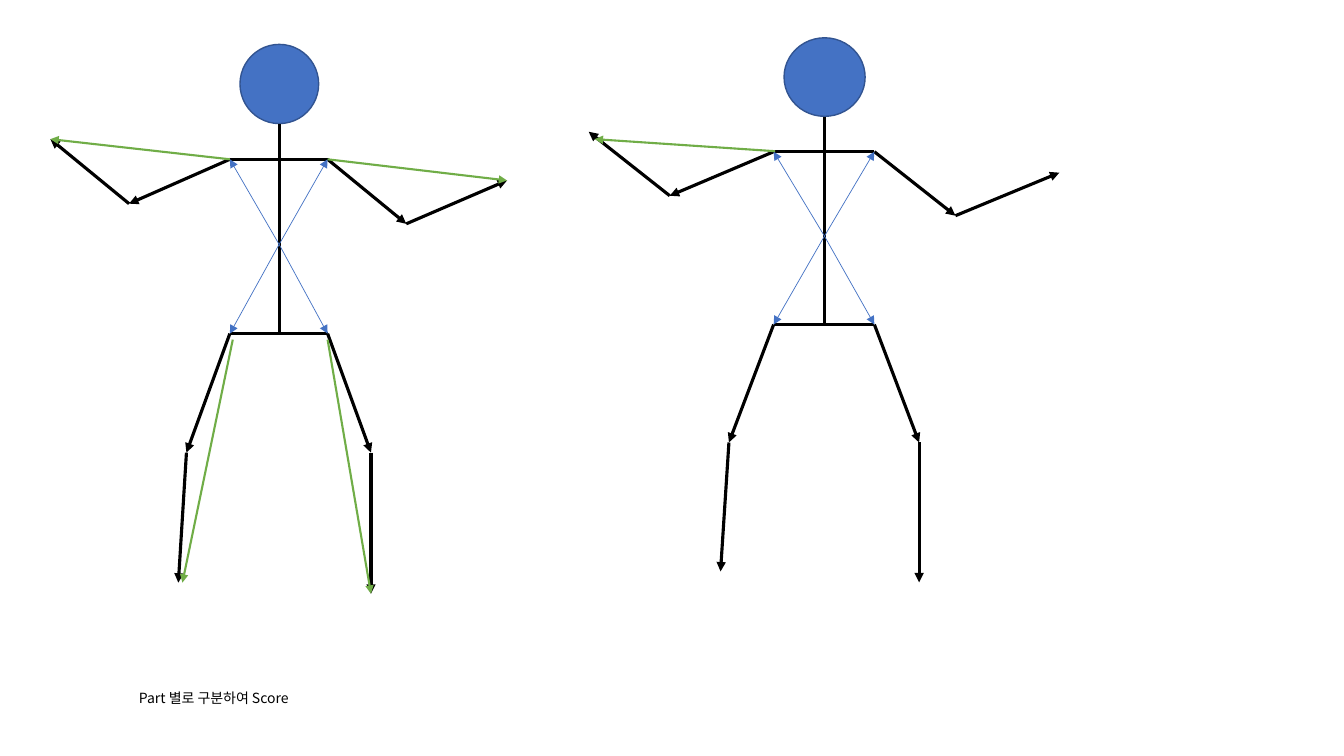
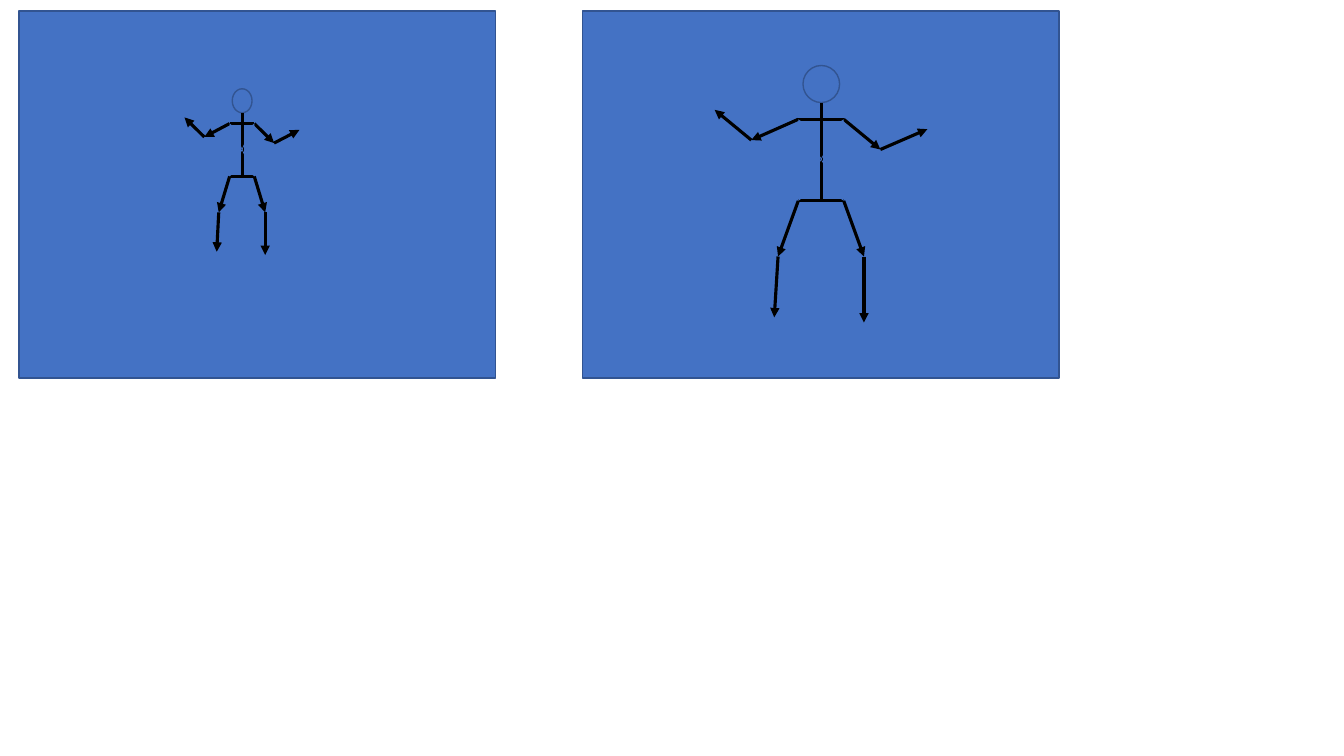
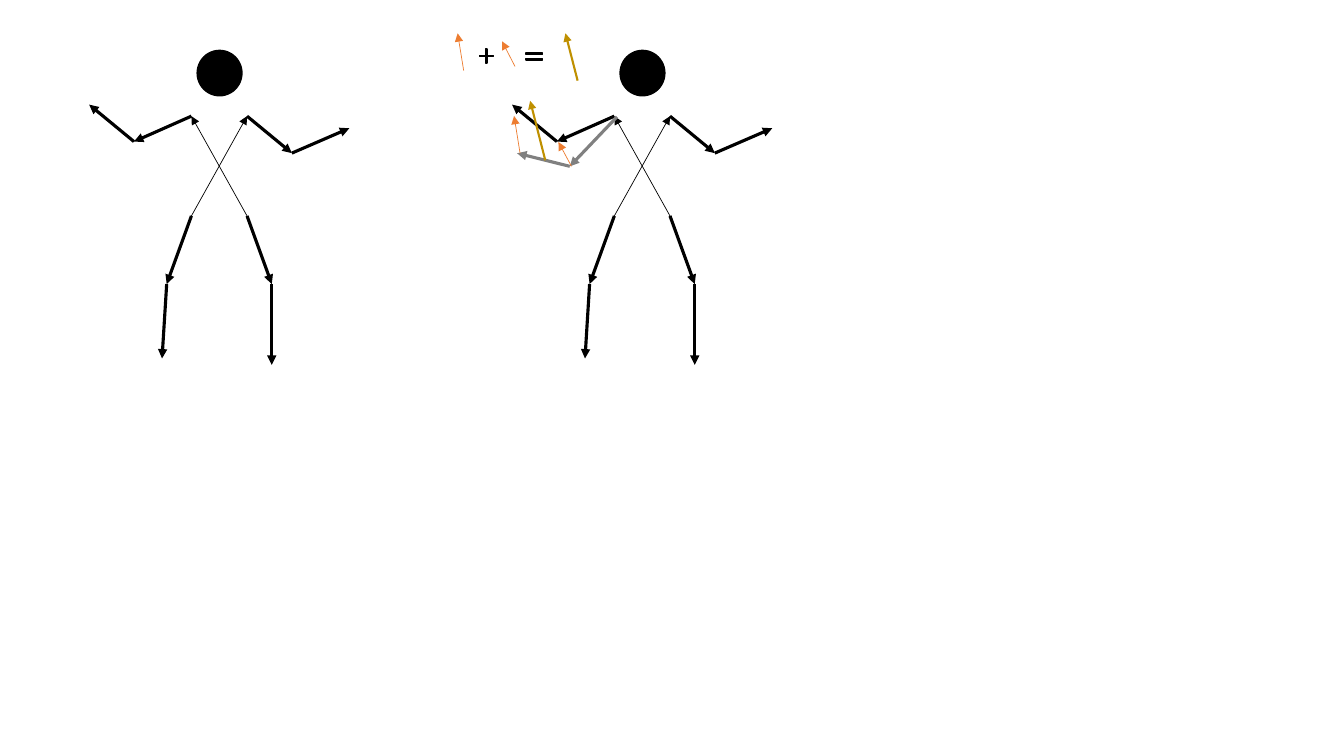
from lxml.etree import SubElement
from pptx import Presentation
from pptx.dml.color import RGBColor
from pptx.enum.shapes import MSO_CONNECTOR, MSO_SHAPE
from pptx.enum.text import MSO_AUTO_SIZE
from pptx.oxml.ns import qn
from pptx.util import Pt

COLOURS = {
    "black": "000000", "blue": "4472C4", "navy": "325491", "green": "70AD47",
    "grey": "808080", "orange": "ED7D31", "gold": "BF9000",
}
FONT = "Noto Sans CJK KR"
BONE, VECTOR, THIN = 2.25, 1.5, 0.5

# Joints of a full-size figure, in points from its top left corner.
FIGURE_SIZE = (326.2, 392.4)
HEAD = (135.4, 0, 56.2, 56.6)
JOINTS = {
    "neck": (163.4, 56.9), "centre": (163.4, 142.9), "pelvis": (163.4, 206.6),
    "left shoulder": (128.2, 82.1), "right shoulder": (198, 82.1),
    "left elbow": (56.2, 113.8), "right elbow": (254.2, 128.2),
    "left hand": (0, 67.7), "right hand": (326.2, 97.2),
    "left hip": (128.2, 206.6), "right hip": (198, 206.6),
    "left knee": (97.2, 291.6), "right knee": (229, 291.6),
    "left foot": (91.4, 384.5), "right foot": (229, 392.4),
}
TRUNK = [("neck", "pelvis"), ("right shoulder", "left shoulder"),
         ("right hip", "left hip")]
LIMBS = [(f"{side} {start}", f"{side} {end}")
         for side in ("right", "left")
         for start, end in (("hip", "knee"), ("knee", "foot"),
                            ("shoulder", "elbow"), ("elbow", "hand"))]
CENTRE_CROSS = [("centre", f"{side} {joint}")
                for joint in ("hip", "shoulder") for side in ("left", "right")]
HIP_CROSS = [("left hip", "right shoulder"), ("right hip", "left shoulder")]

SOLID_STYLE = {"fill": "blue", "outline": "navy", "trunk": TRUNK,
               "cross": CENTRE_CROSS, "cross_colour": "blue"}
OPEN_STYLE = {"fill": "black", "outline": "black", "trunk": [],
              "cross": HIP_CROSS, "cross_colour": "black"}


def rgb(name):
    return RGBColor.from_string(COLOURS[name])


class Sketch:
    def __init__(self):
        self.deck = Presentation()
        self.deck.slide_width, self.deck.slide_height = Pt(960), Pt(540)
        self.page = None

    def new_page(self):
        self.page = self.deck.slides.add_slide(self.deck.slide_layouts[6])

    def shape(self, kind, box, fill, outline, parent=None, adjustments=()):
        shapes = (parent or self.page).shapes
        shape = shapes.add_shape(kind, *(Pt(length) for length in box))
        shape.shadow.inherit = False
        shape.fill.solid()
        shape.fill.fore_color.rgb = rgb(fill)
        shape.line.color.rgb = rgb(outline)
        shape.line.width = Pt(1)
        for index, value in enumerate(adjustments):
            shape.adjustments[index] = value

    def line(self, start, end, colour, width, arrow=True, parent=None):
        shapes = (parent or self.page).shapes
        line = shapes.add_connector(
            MSO_CONNECTOR.STRAIGHT, *(Pt(value) for value in (*start, *end)))
        line.line.color.rgb = rgb(colour)
        line.line.width = Pt(width)
        if arrow:
            SubElement(line.line._get_or_add_ln(), qn("a:tailEnd"), type="triangle")
        SubElement(line._element.spPr, qn("a:effectLst"))

    def arrows(self, ends, colour, width):
        for start, end in ends:
            self.line(start, end, colour, width)

    def figure(self, left, top, width, height, style):
        """Draw the stick figure as one group, stretched to the given box."""
        scale_x, scale_y = width / FIGURE_SIZE[0], height / FIGURE_SIZE[1]
        group = self.page.shapes.add_group_shape()
        places = {name: (left + x * scale_x, top + y * scale_y)
                  for name, (x, y) in JOINTS.items()}
        x, y, head_width, head_height = HEAD
        head = (left + x * scale_x, top + y * scale_y,
                head_width * scale_x, head_height * scale_y)
        self.shape(MSO_SHAPE.OVAL, head, style["fill"], style["outline"], group)
        for bones, colour, weight, arrow in (
                (style["trunk"], "black", BONE, False),
                (LIMBS, "black", BONE, True),
                (style["cross"], style["cross_colour"], THIN, True)):
            for start, end in bones:
                self.line(places[start], places[end], colour, weight, arrow, group)

    def label(self, text, left, top, width, height):
        box = self.page.shapes.add_textbox(Pt(left), Pt(top), Pt(width), Pt(height))
        box.text_frame.word_wrap = False
        box.text_frame.auto_size = MSO_AUTO_SIZE.SHAPE_TO_FIT_TEXT
        span = box.text_frame.paragraphs[0].add_run()
        span.text = text
        for name, value in {"size": Pt(10), "name": FONT}.items():
            setattr(span.font, name, value)
        span.font.color.rgb = rgb("black")
        SubElement(span._r.get_or_add_rPr(), qn("a:ea"), typeface=FONT)


def part_scores(sketch):
    sketch.new_page()
    sketch.figure(36, 31.7, 326.2, 392.4, SOLID_STYLE)
    sketch.arrows([((164.2, 113.8), (36, 99.4)), ((234, 113.8), (362.2, 128.9)),
                   ((234, 242.6), (265, 424.1)), ((166.3, 242.6), (130.3, 416.2))],
                  "green", VECTOR)
    sketch.figure(420.5, 27, 336.2, 389, SOLID_STYLE)
    sketch.arrows([((553.7, 108), (424.8, 99.4))], "green", VECTOR)
    sketch.label("Part 별로 구분하여 Score", 92.2, 488.9, 126.7, 19.4)


def frame_sizes(sketch):
    sketch.new_page()
    for frame_left, figure_box in ((13.5, (131.8, 63.4, 82.1, 118.8)),
                                   (416, (510.5, 46.8, 151.9, 183.6))):
        sketch.shape(MSO_SHAPE.RECTANGLE, (frame_left, 7.9, 340.6, 262.1),
                     "blue", "navy")
        sketch.figure(*figure_box, SOLID_STYLE)


def vector_sum(sketch):
    sketch.new_page()
    for left in (63.7, 365.8):
        sketch.figure(left, 36, 185.8, 224.6, OPEN_STYLE)
    sketch.arrows([((407, 118.8), (369.4, 109.5)), ((440.7, 83.5), (407, 118.8))],
                  "grey", BONE)
    sketch.arrows([((371.5, 109.5), (367.2, 82.8)), ((408.2, 118.8), (398.9, 101.5)),
                   ((331.2, 50.4), (326.9, 23.8)), ((367.9, 47.5), (358.6, 29.5))],
                  "orange", THIN)
    sketch.shape(MSO_SHAPE.MATH_PLUS, (340.6, 33.1, 13.7, 13.7),
                 "black", "black", adjustments=[0.072])
    sketch.shape(MSO_SHAPE.MATH_EQUAL, (373.7, 27.4, 15.8, 25.9),
                 "black", "black", adjustments=[0.039, 0.118])
    sketch.arrows([((389.5, 114.5), (378.7, 72)), ((412.6, 57.6), (403.9, 23.8))],
                  "gold", VECTOR)


def main():
    sketch = Sketch()
    for build in (part_scores, frame_sizes, vector_sum):
        build(sketch)
    sketch.deck.save("out.pptx")


if __name__ == "__main__":
    main()
